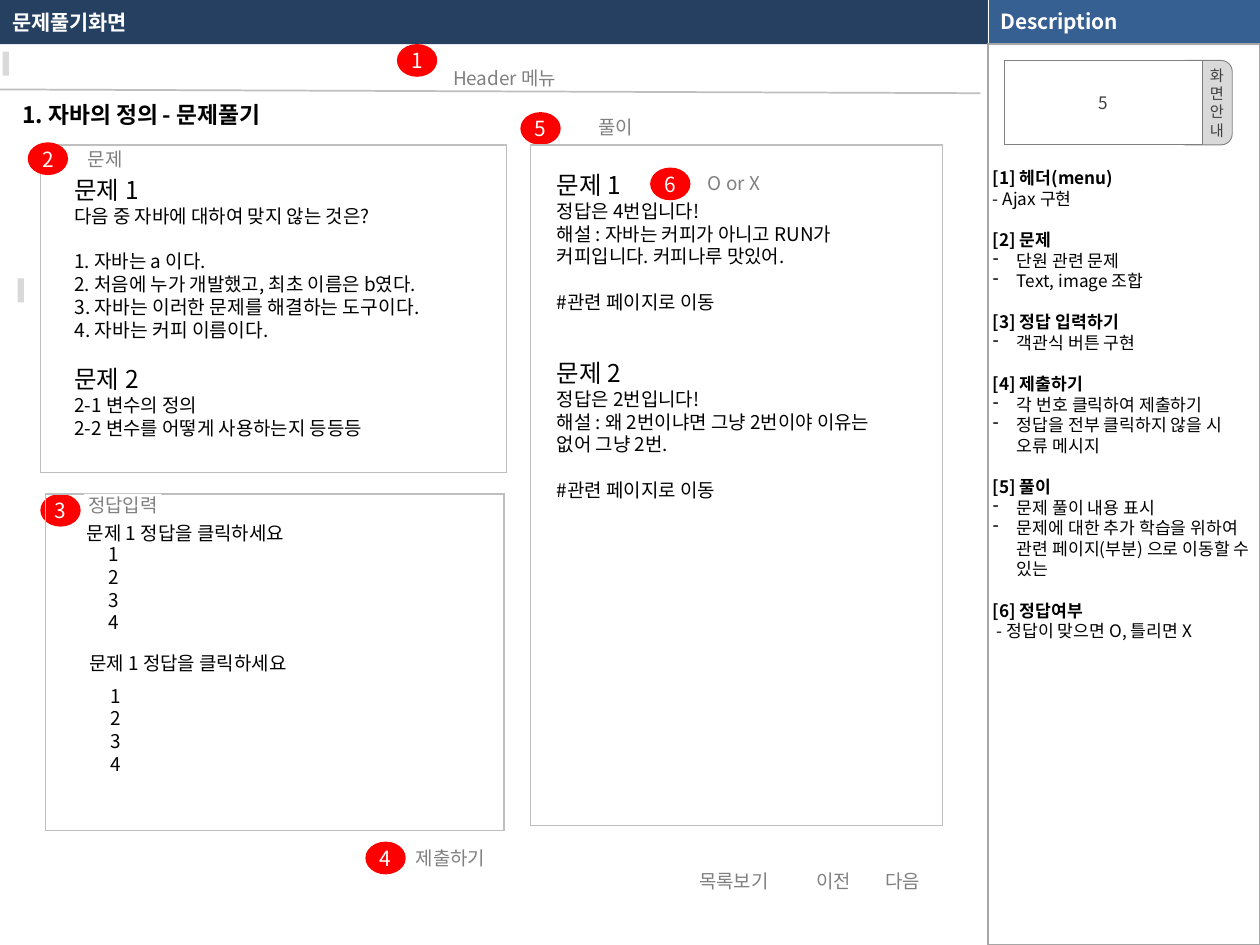
from lxml import etree
from pptx import Presentation
from pptx import util as u
from pptx.dml.color import RGBColor
from pptx.enum import shapes, text
from pptx.oxml.ns import qn

FONT = "Noto Sans CJK KR"
NAVY = RGBColor(0x25, 0x40, 0x61)
BLUE = RGBColor(0x37, 0x60, 0x92)
RED = RGBColor(0xFF, 0, 0)
WHITE = RGBColor(0xFF, 0xFF, 0xFF)
BLACK = RGBColor(0, 0, 0)
DARK = RGBColor(0x40, 0x40, 0x40)
GRAY = RGBColor(0x80, 0x80, 0x80)
RULE = RGBColor(0x7F, 0x7F, 0x7F)
PANEL = RGBColor(0xA6, 0xA6, 0xA6)
BORDER = RGBColor(0xBF, 0xBF, 0xBF)
LIGHT = RGBColor(0xD9, 0xD9, 0xD9)

LINE_RATIO = 1.2
BODY = 10.8
NOTE = 9.8
BODY_LINE = BODY * LINE_RATIO
NOTE_LINE = NOTE * LINE_RATIO
ZERO = (0, 0, 0, 0)
DEFAULT_INSETS = (0.1, 0.05, 0.1, 0.05)
SHAPE = shapes.MSO_SHAPE
CENTER = text.PP_ALIGN.CENTER
MIDDLE = text.MSO_ANCHOR.MIDDLE


def within(box, left, top, width, height):
    """Turn a position relative to a box into one on the slide."""
    return box[0] + left, box[1] + top, width, height


def inches(values):
    return [u.Inches(value) for value in values]


def write(shape, lines, size=BODY, color=BLACK, align=None, anchor=text.MSO_ANCHOR.TOP,
          insets=ZERO, wrap=True, ratio=LINE_RATIO):
    """Fill a shape with lines, each a string or a dict of text and format."""
    frame = shape.text_frame
    left, top, right, bottom = inches(insets)
    frame_format = dict(word_wrap=wrap, vertical_anchor=anchor, margin_left=left,
                        margin_top=top, margin_right=right, margin_bottom=bottom)
    for name, value in frame_format.items():
        setattr(frame, name, value)
    for index, line in enumerate(lines):
        line = {"text": line} if isinstance(line, str) else line
        paragraph = frame.add_paragraph() if index else frame.paragraphs[0]
        points = line.get("size", size)
        if line.get("bullet"):
            properties = paragraph._p.get_or_add_pPr()
            properties.set("marL", str(u.Inches(0.19)))
            properties.set("indent", str(-u.Inches(0.19)))
            etree.SubElement(properties, qn("a:buChar")).set("char", "-")
        paragraph_format = dict(alignment=align or text.PP_ALIGN.LEFT,
                                line_spacing=u.Pt(round(points * ratio, 2)),
                                space_before=u.Pt(line.get("before", 0)))
        for name, value in paragraph_format.items():
            setattr(paragraph, name, value)
        run = paragraph.add_run()
        run.text = line["text"]
        run_format = dict(name=FONT, size=u.Pt(points), bold=line.get("bold", False))
        for name, value in run_format.items():
            setattr(run.font, name, value)
        run.font.color.rgb = color
        etree.SubElement(run._r.get_or_add_rPr(), qn("a:ea")).set("typeface", FONT)


def add_box(slide, box, fill=None, line=None, weight=0.5, kind=SHAPE.RECTANGLE):
    shape = slide.shapes.add_shape(kind, *inches(box))
    shape.shadow.inherit = False
    if fill is None:
        shape.fill.background()
    else:
        shape.fill.solid()
        shape.fill.fore_color.rgb = fill
    if line is None:
        shape.line.fill.background()
    else:
        shape.line.color.rgb = line
        shape.line.width = u.Pt(weight)
    return shape


def add_line(slide, start, end, color, weight):
    line = slide.shapes.add_connector(shapes.MSO_CONNECTOR.STRAIGHT, *inches(start + end))
    line.line.color.rgb = color
    line.line.width = u.Pt(weight)
    etree.SubElement(line._element.spPr, qn("a:effectLst"))


def add_frame(slide, box):
    """Draw a one-cell table with a thin border."""
    table = slide.shapes.add_table(1, 1, *inches(box)).table
    table.first_row = table.horz_banding = False
    cell = table.cell(0, 0)
    properties = cell._tc.get_or_add_tcPr()
    for side in ("a:lnL", "a:lnR", "a:lnT", "a:lnB"):
        edge = etree.SubElement(properties, qn(side), w=str(u.Pt(1)))
        fill = etree.SubElement(edge, qn("a:solidFill"))
        etree.SubElement(fill, qn("a:srgbClr"), val=str(BORDER))
    cell.fill.background()


def add_badge(slide, box, left, top, number):
    shape = add_box(slide, within(box, left, top, 0.32, 0.26), RED, kind=SHAPE.OVAL)
    write(shape, [number], 11.9, WHITE, CENTER, MIDDLE, wrap=False)


def add_label(slide, box, left, top, caption, width=0.87, fill=WHITE):
    shape = add_box(slide, within(box, left, top, width, 0.18), fill)
    write(shape, [caption], color=GRAY, align=CENTER)


def add_text(slide, box, lines, **formats):
    write(slide.shapes.add_textbox(*inches(box)), lines, **formats)


def title_bar(slide, box):
    shape = add_box(slide, box, NAVY)
    write(shape, [{"text": "문제풀기화면", "bold": True}], 11.9, WHITE,
          anchor=MIDDLE, insets=DEFAULT_INSETS)


def header(slide, box):
    left, top, width, _ = box
    add_line(slide, (left, top + 0.36), (left + width, top + 0.39), BORDER, 1)
    for marker_top in (0.06, 1.86):
        marker_left = 0.02 if marker_top < 1 else 0.14
        add_box(slide, within(box, marker_left, marker_top, 0.05, 0.19), LIGHT)
    add_text(slide, within(box, 0.08, 0.4, 2.76, 0.32),
             [{"text": "1. 자바의 정의 - 문제풀기", "bold": True}], size=13, insets=DEFAULT_INSETS)
    add_text(slide, within(box, 0.04, 0.04, 7.93, 0.34), ["Header 메뉴"], color=GRAY,
             align=CENTER, insets=DEFAULT_INSETS, ratio=LINE_RATIO * 1.5)
    add_badge(slide, box, 3.15, 0, "1")


def question(slide, box):
    add_frame(slide, box)
    write(add_box(slide, within(box, 0.27, 0.24, 2.99, 2.12), WHITE), [
        {"text": "문제 1", "size": 14},
        "다음 중 자바에 대하여 맞지 않는 것은?",
        {"text": "1. 자바는 a 이다.", "before": BODY_LINE},
        "2. 처음에 누가 개발했고, 최초 이름은 b였다.",
        {"text": "3. 자바는 이러한 문제를 해결하는 도구이다.", "size": 11},
        {"text": "4. 자바는 커피 이름이다.", "size": 11},
        {"text": "문제 2", "size": 14, "before": BODY_LINE},
        "2-1 변수의 정의",
        "2-2 변수를 어떻게 사용하는지 등등등",
    ])
    add_label(slide, box, 0.21, 0.02, "문제", 0.61)
    add_badge(slide, box, -0.1, -0.02, "2")


def answer(slide, box):
    add_badge(slide, box, -0.04, 0, "3")
    add_frame(slide, box)
    for left, top, choices_top in ((0.33, 0.22, 0.39), (0.35, 1.25, 1.51)):
        write(add_box(slide, within(box, left, top, 2.99, 0.18), WHITE),
              ["문제 1 정답을 클릭하세요"])
        write(add_box(slide, within(box, left + 0.17, choices_top, 0.28, 0.73), WHITE),
              ["1", "2", "3", "4"])
    add_label(slide, box, 0.31, 0, "정답입력", 0.61)


def solution(slide, box):
    add_label(slide, box, 0.24, -0.23, "풀이", fill=None)
    add_badge(slide, box, -0.08, -0.26, "5")
    add_frame(slide, box)
    page_link = {"text": "#관련 페이지로 이동", "before": BODY_LINE}
    write(add_box(slide, within(box, 0.21, 0.2, 2.63, 2.66), WHITE), [
        {"text": "문제 1", "size": 14},
        "정답은 4번입니다!",
        "해설 : 자바는 커피가 아니고 RUN가 커피입니다. 커피나루 맛있어.",
        page_link,
        {"text": "문제 2", "size": 14, "before": 2 * BODY_LINE},
        "정답은 2번입니다!",
        "해설 : 왜 2번이냐면 그냥 2번이야 이유는 없어 그냥 2번.",
        page_link,
    ])
    add_label(slide, box, 1.18, 0.21, "O or X", fill=None)
    add_badge(slide, box, 0.95, 0.18, "6")


def navigation(slide, box):
    add_label(slide, box, 0.24, 0.04, "제출하기")
    add_badge(slide, box, 0, 0, "4")
    for left, caption in ((2.49, "목록보기"), (3.28, "이전"), (3.83, "다음")):
        add_label(slide, box, left, 0.22, caption)


def description(slide, box):
    left, top, width, height = box
    add_box(slide, within(box, 0, 0, width, 0.35), GRAY)
    title = add_box(slide, within(box, 0, 0, width, 0.34), BLUE)
    write(title, [{"text": "Description", "bold": True}], 11.9, WHITE,
          anchor=MIDDLE, insets=DEFAULT_INSETS)
    add_line(slide, (left, top), (left, top + 0.35), WHITE, 0.25)
    add_line(slide, (left, top + 0.34), (left, top + height), RULE, 0.25)

    sections = (
        ("[1] 헤더(menu)", False, ["- Ajax 구현"]),
        ("[2] 문제", True, ["단원 관련 문제", "Text, image 조합"]),
        ("[3] 정답 입력하기", True, ["객관식 버튼 구현"]),
        ("[4] 제출하기", True, ["각 번호 클릭하여 제출하기",
                            "정답을 전부 클릭하지 않을 시 오류 메시지"]),
        ("[5] 풀이", True, ["문제 풀이 내용 표시",
                          "문제에 대한 추가 학습을 위하여 관련 페이지(부분) 으로 이동할 수 있는"]),
        ("[6] 정답여부", False, [" - 정답이 맞으면 O, 틀리면 X"]),
    )
    lines = []
    for heading, bullet, notes in sections:
        lines.append({"text": heading, "bold": True, "before": NOTE_LINE if lines else 0})
        lines += [{"text": note, "bullet": bullet} for note in notes]
    panel = add_box(slide, within(box, 0, 0.35, width, height - 0.35), line=PANEL, weight=1)
    write(panel, lines, NOTE, insets=(0.04, 0.98, 0.04, 0))

    tab = add_box(slide, within(box, 1.48, 0.48, 0.46, 0.67), LIGHT, GRAY,
                  kind=SHAPE.ROUNDED_RECTANGLE)
    tab.adjustments[0] = 0.19
    write(tab, list("화면안내"), 8.7, DARK, text.PP_ALIGN.RIGHT, MIDDLE, (0, 0, 0.04, 0), False)
    screen = add_box(slide, within(box, 0.13, 0.48, 1.57, 0.67), WHITE, GRAY)
    write(screen, ["5"], NOTE, DARK, CENTER, MIDDLE, (0.04,) * 4, False)


def main():
    presentation = Presentation()
    presentation.slide_width, presentation.slide_height = inches((10, 7.5))
    slide = presentation.slides.add_slide(presentation.slide_layouts[6])
    title_bar(slide, (0, 0, 7.84, 0.35))
    header(slide, (0, 0.35, 7.78, 0.72))
    description(slide, (7.84, 0, 2.16, 7.5))
    question(slide, (0.32, 1.15, 3.7, 2.6))
    answer(slide, (0.36, 3.92, 3.64, 2.67))
    solution(slide, (4.21, 1.15, 3.27, 5.4))
    navigation(slide, (2.9, 6.68, 4.7, 0.4))
    presentation.save("out.pptx")


if __name__ == "__main__":
    main()
